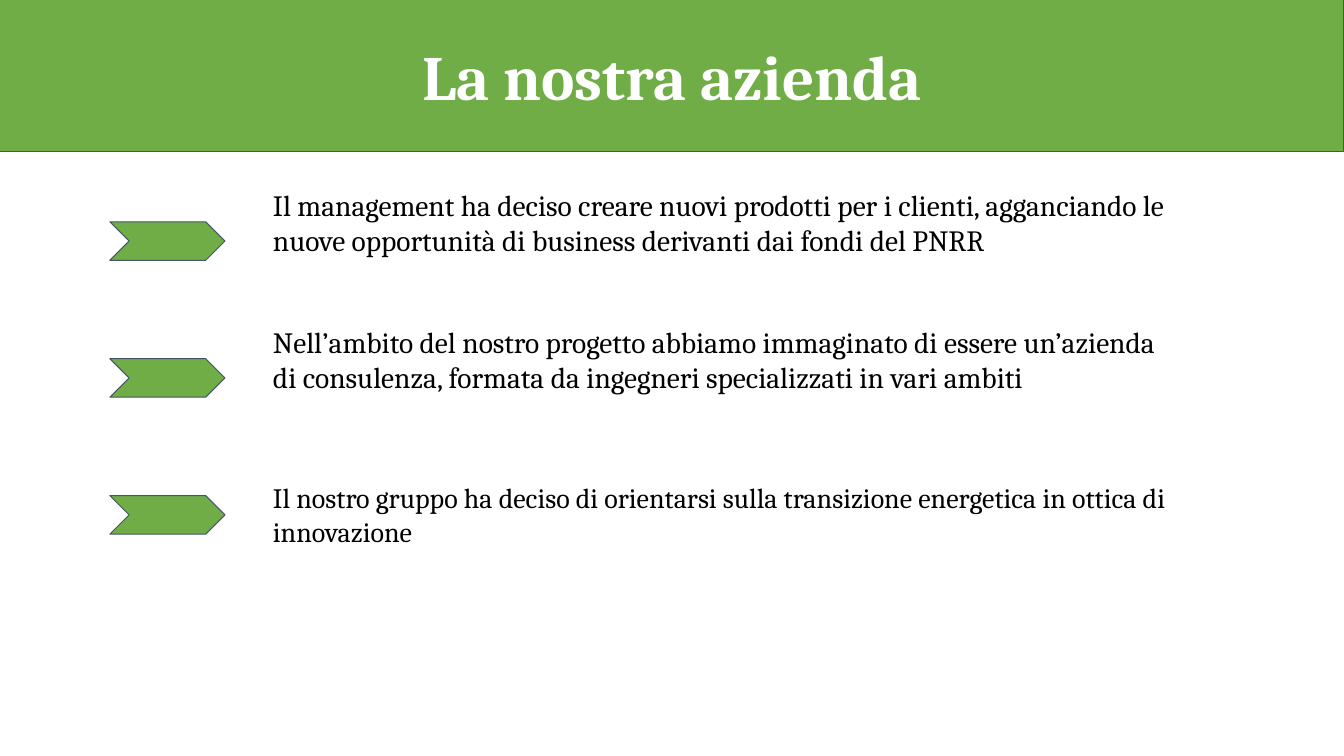
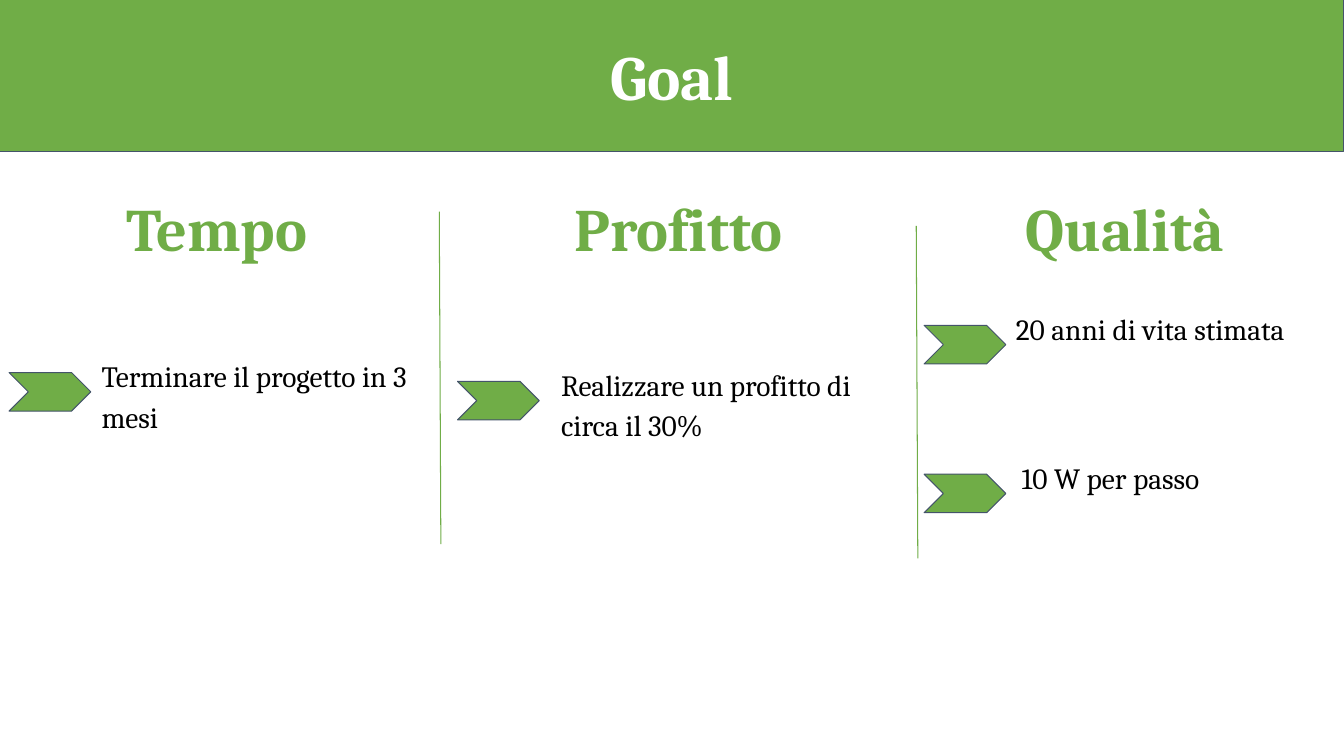
from dataclasses import dataclass

import pptx
import pptx.dml.color
import pptx.enum.shapes
import pptx.enum.text
import pptx.oxml.ns
import pptx.shapes.autoshape
import pptx.slide
import pptx.text.text
import pptx.util
from lxml import etree

Cm = pptx.util.Cm
Pt = pptx.util.Pt
RGB = pptx.dml.color.RGBColor
Align = pptx.enum.text.PP_ALIGN
Shape = pptx.enum.shapes.MSO_SHAPE


@dataclass(frozen=True)
class Theme:
    font: str = "Cambria"
    green: RGB = RGB(0x70, 0xAD, 0x47)
    outline: RGB = RGB(0x44, 0x54, 0x6A)
    white: RGB = RGB(0xFF, 0xFF, 0xFF)
    black: RGB = RGB(0, 0, 0)
    title: float = 45
    heading: float = 43
    body: float = 21
    body_small: float = 20
    line: float = 0.75


@dataclass(frozen=True)
class Box:
    x: float
    y: float
    w: float
    h: float


@dataclass(frozen=True)
class Style:
    size: float
    color: RGB
    bold: bool = False
    align: Align = Align.LEFT
    line_spacing: float = 1.0
    space_after: float = 0


@dataclass(frozen=True)
class Point:
    text: str
    box: Box
    style: Style


@dataclass(frozen=True)
class Heading:
    text: str
    x: float


@dataclass(frozen=True)
class Divider:
    x: float
    y: float


THEME = Theme()
TITLE = Style(THEME.title, THEME.white, True, Align.CENTER)
HEADING = Style(THEME.heading, THEME.green, True, Align.CENTER)
BODY = Style(THEME.body, THEME.black)
BODY_SMALL = Style(THEME.body_small, THEME.black)
GOAL = Style(THEME.body, THEME.black, line_spacing=1.15, space_after=12)

WIDTH, HEIGHT = 33.87, 19.05
BAND = Box(0, 0, WIDTH, 3.81)
INSET = 0.25
ARROW_H = 0.97

COMPANY_ARROW = Box(2.77, 5.59, 2.9, ARROW_H)
COMPANY_PITCH = 3.45
COMPANY_POINTS = [
    Point("Il management ha deciso creare nuovi prodotti per i clienti, agganciando le "
          "nuove opportunità di business derivanti dai fondi del PNRR",
          Box(6.63, 4.47, 23.55, 3.2), BODY),
    Point("Nell’ambito del nostro progetto abbiamo immaginato di essere un’azienda "
          "di consulenza, formata da ingegneri specializzati in vari ambiti",
          Box(6.63, 7.92, 23.34, 3.2), BODY),
    Point("Il nostro gruppo ha deciso di orientarsi sulla transizione energetica in ottica di "
          "innovazione",
          Box(6.63, 11.86, 23.34, 2.24), BODY_SMALL),
]

COLUMN_W = 8.33
HEADING_Y, HEADING_H = 4.57, 2.36
HEADINGS = [Heading("Tempo", 1.3), Heading("Profitto", 12.93), Heading("Qualità", 24.18)]
DIVIDERS = [Divider(11.07, 5.33), Divider(23.09, 5.69)]
DIVIDER_H, DIVIDER_SLANT = 8.38, 0.04
GOAL_ARROW_W, GOAL_ARROW_DROP = 2.06, 0.75
GOALS = [
    (0.23, Point("Terminare il progetto in 3 mesi", Box(2.31, 8.64, COLUMN_W, 2.44), GOAL)),
    (11.53, Point("Realizzare un profitto di circa il 30%", Box(13.89, 8.86, COLUMN_W, 2.44), GOAL)),
    (23.29, Point("20 anni di vita stimata", Box(25.35, 7.45, COLUMN_W, 1.42), GOAL)),
    (23.29, Point("10 W per passo", Box(25.5, 11.2, COLUMN_W, 1.42), GOAL)),
]


def write(tf: pptx.text.text.TextFrame, text: str, style: Style) -> None:
    tf.word_wrap = True
    tf.margin_left = tf.margin_right = tf.margin_top = tf.margin_bottom = Cm(INSET)
    p = tf.paragraphs[0]
    p.alignment = style.align
    p.line_spacing = style.line_spacing
    p.space_after = Pt(style.space_after)
    r = p.add_run()
    r.text = text
    r.font.name = THEME.font
    r.font.size = Pt(style.size)
    r.font.bold = style.bold
    r.font.color.rgb = style.color


def add_text(s: pptx.slide.Slide, text: str, box: Box, style: Style) -> None:
    tf = s.shapes.add_textbox(Cm(box.x), Cm(box.y), Cm(box.w), Cm(box.h)).text_frame
    write(tf, text, style)
    tf.auto_size = pptx.enum.text.MSO_AUTO_SIZE.SHAPE_TO_FIT_TEXT


def add_shape(s: pptx.slide.Slide, kind: Shape, box: Box) -> pptx.shapes.autoshape.Shape:
    sp = s.shapes.add_shape(kind, Cm(box.x), Cm(box.y), Cm(box.w), Cm(box.h))
    sp.shadow.inherit = False
    sp.fill.solid()
    sp.fill.fore_color.rgb = THEME.green
    sp.line.color.rgb = THEME.outline
    sp.line.width = Pt(THEME.line)
    return sp


def add_arrow(s: pptx.slide.Slide, box: Box) -> None:
    add_shape(s, Shape.CHEVRON, box).adjustments[0] = 0.5


def add_divider(s: pptx.slide.Slide, divider: Divider) -> None:
    line = s.shapes.add_connector(
        pptx.enum.shapes.MSO_CONNECTOR.STRAIGHT, Cm(divider.x), Cm(divider.y),
        Cm(divider.x + DIVIDER_SLANT), Cm(divider.y + DIVIDER_H))
    line.line.color.rgb = THEME.green
    line.line.width = Pt(THEME.line)
    etree.SubElement(line._element.spPr, pptx.oxml.ns.qn("a:effectLst"))


def add_slide(prs, title: str) -> pptx.slide.Slide:
    s = prs.slides.add_slide(prs.slide_layouts[6])
    tf = add_shape(s, Shape.RECTANGLE, BAND).text_frame
    write(tf, title, TITLE)
    tf.vertical_anchor = pptx.enum.text.MSO_ANCHOR.MIDDLE
    return s


def build_company(prs) -> None:
    s = add_slide(prs, "La nostra azienda")
    first = COMPANY_ARROW
    for i, point in enumerate(COMPANY_POINTS):
        add_arrow(s, Box(first.x, first.y + i * COMPANY_PITCH, first.w, first.h))
        add_text(s, point.text, point.box, point.style)


def build_goal(prs) -> None:
    s = add_slide(prs, "Goal")
    for heading in HEADINGS:
        add_text(s, heading.text, Box(heading.x, HEADING_Y, COLUMN_W, HEADING_H), HEADING)
    for divider in DIVIDERS:
        add_divider(s, divider)
    for arrow_x, point in GOALS:
        add_arrow(s, Box(arrow_x, point.box.y + GOAL_ARROW_DROP, GOAL_ARROW_W, ARROW_H))
        add_text(s, point.text, point.box, point.style)


def main() -> None:
    prs = pptx.Presentation()
    prs.slide_width, prs.slide_height = Cm(WIDTH), Cm(HEIGHT)
    build_company(prs)
    build_goal(prs)
    prs.save("out.pptx")


if __name__ == "__main__":
    main()
